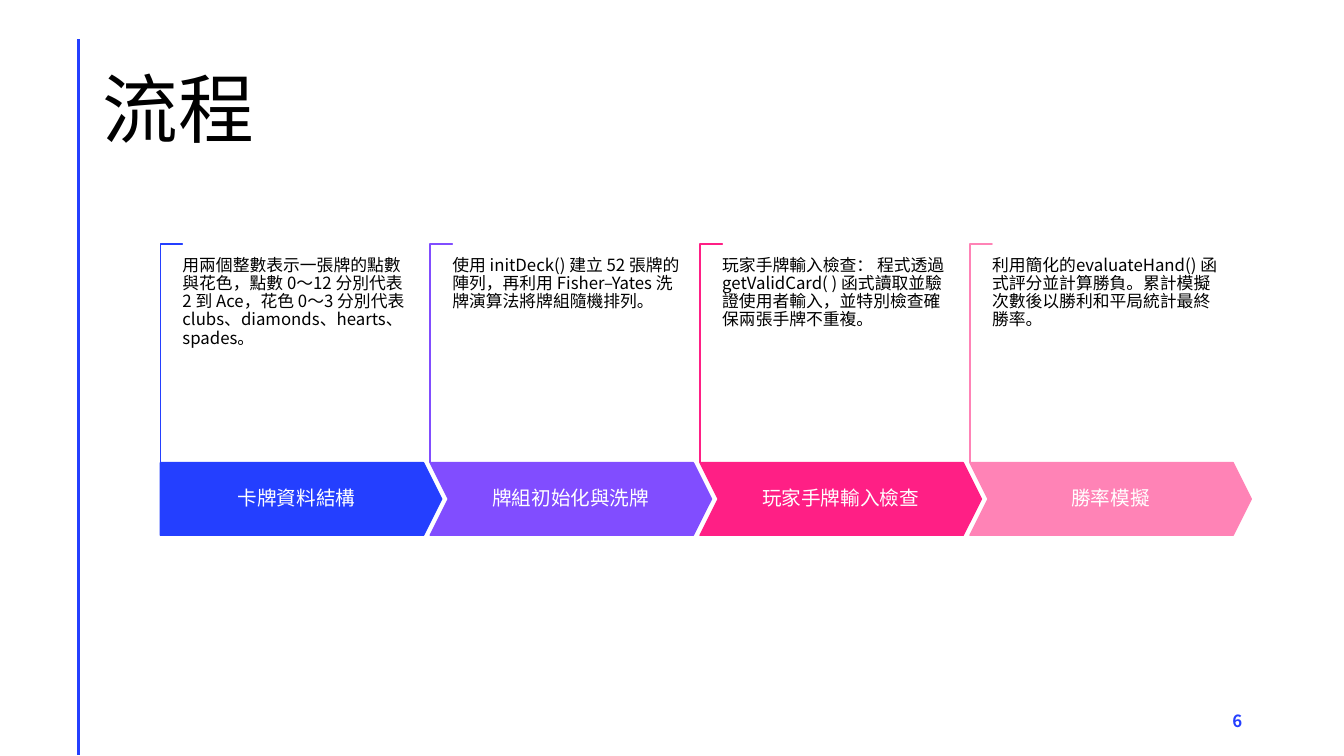
from dataclasses import dataclass

from lxml import etree
from pptx import Presentation
from pptx.dml.color import RGBColor
from pptx.enum.shapes import MSO_CONNECTOR, MSO_SHAPE
from pptx.enum.text import MSO_ANCHOR, PP_ALIGN
from pptx.oxml.ns import qn
from pptx.util import Inches, Pt

CORNER, PENTAGON, CHEVRON = MSO_SHAPE.CORNER, MSO_SHAPE.PENTAGON, MSO_SHAPE.CHEVRON
STRAIGHT = MSO_CONNECTOR.STRAIGHT
TOP, MIDDLE = MSO_ANCHOR.TOP, MSO_ANCHOR.MIDDLE
LEFT, CENTER, RIGHT = PP_ALIGN.LEFT, PP_ALIGN.CENTER, PP_ALIGN.RIGHT


@dataclass(frozen=True)
class Theme:
    font: str = "Noto Sans CJK TC"
    ink: str = "000000"
    paper: str = "FFFFFF"
    accent: str = "243FFF"
    steps: tuple = ("243FFF", "814DFF", "FF1F85", "FF83B6")
    title_size: int = 54
    label_size: int = 14
    body_size: int = 12


class PageBuilder:
    def __init__(self, page, theme):
        self.page = page
        self.theme = theme

    def fill_text(self, frame, text, size, color, align=LEFT, anchor=TOP,
                  inset=(0.1, 0.05), bold=False, spacing=0.9):
        """Fill a text frame; inset is (horizontal, vertical) in inches."""
        frame.word_wrap = True
        frame.vertical_anchor = anchor
        frame.margin_left = frame.margin_right = Inches(inset[0])
        frame.margin_top = frame.margin_bottom = Inches(inset[1])
        para = frame.paragraphs[0]
        para.text = text
        para.alignment = align
        para.line_spacing = spacing
        font = para.font
        font.size = Pt(size)
        font.bold = bold
        font.color.rgb = RGBColor.from_string(color)
        font.name = self.theme.font
        # East Asian glyphs take their typeface from a separate element
        defaults = para._p.pPr.find(qn("a:defRPr"))
        etree.SubElement(defaults, qn("a:ea"), typeface=self.theme.font)

    def text(self, place, text, size, color, **style):
        box = self.page.shapes.add_textbox(*map(Inches, place))
        self.fill_text(box.text_frame, text, size, color, **style)

    def shape(self, kind, place, fill, line, adjustments):
        shape = self.page.shapes.add_shape(kind, *map(Inches, place))
        shape.shadow.inherit = False
        shape.fill.solid()
        shape.fill.fore_color.rgb = RGBColor.from_string(fill)
        shape.line.color.rgb = RGBColor.from_string(line)
        shape.line.width = Pt(1)
        for index, value in enumerate(adjustments):
            shape.adjustments[index] = value
        return shape

    def line(self, start, end, color, width):
        line = self.page.shapes.add_connector(STRAIGHT, *map(Inches, start + end))
        line.line.color.rgb = RGBColor.from_string(color)
        line.line.width = Pt(width)
        etree.SubElement(line._element.spPr, qn("a:effectLst"))

    def bracket(self, left, top, width, height, color):
        """Draw a thin top-left bracket: a corner shape turned a quarter."""
        place = (left + (width - height) / 2, top + (height - width) / 2, height, width)
        self.shape(CORNER, place, self.theme.paper, color, (0.01, 0.01)).rotation = 90

    def step(self, kind, left, color, label, detail):
        theme = self.theme
        self.bracket(left, 2.42, 0.22, 2.17, color)
        arrow = self.shape(kind, (left, 4.59, 2.79, 0.72), color, color, (0.25,))
        self.fill_text(arrow.text_frame, label, theme.label_size, theme.paper,
                       align=CENTER, anchor=MIDDLE, inset=(0.1, 0.19))
        self.text((left + 0.22, 2.55, 2.26, 1.52), detail,
                  theme.body_size, theme.ink, inset=(0, 0))


STEPS = (
    ("卡牌資料結構",
     "用兩個整數表示一張牌的點數與花色，點數 0～12 分別代表 2 到 Ace，"
     "花色 0～3 分別代表 clubs、diamonds、hearts、spades。"),
    ("牌組初始化與洗牌",
     "使用 initDeck() 建立 52 張牌的陣列，再利用 Fisher–Yates 洗牌演算法將牌組隨機排列。"),
    ("玩家手牌輸入檢查",
     "玩家手牌輸入檢查： 程式透過 getValidCard( ) 函式讀取並驗證使用者輸入，"
     "並特別檢查確保兩張手牌不重複。"),
    ("勝率模擬",
     "利用簡化的evaluateHand() 函式評分並計算勝負。累計模擬次數後以勝利和平局統計最終勝率。"),
)
FIRST_LEFT, LAST_LEFT = 1.59, 9.62


def main():
    deck = Presentation()
    deck.slide_width, deck.slide_height = Inches(13.33), Inches(7.5)
    theme = Theme()
    builder = PageBuilder(deck.slides.add_slide(deck.slide_layouts[6]), theme)

    builder.line((0.78, 0.39), (0.78, 7.49), theme.accent, 2)
    builder.text((0.92, 0.4, 11.5, 1.45), "流程", theme.title_size, theme.ink, anchor=MIDDLE)
    builder.text((9.42, 6.95, 3, 0.4), "6", theme.body_size, theme.accent,
                 align=RIGHT, anchor=MIDDLE, bold=True, spacing=1.0)

    pitch = (LAST_LEFT - FIRST_LEFT) / (len(STEPS) - 1)
    for index, (color, (label, detail)) in enumerate(zip(theme.steps, STEPS)):
        kind = CHEVRON if index else PENTAGON
        builder.step(kind, FIRST_LEFT + index * pitch, color, label, detail)

    deck.save("out.pptx")


if __name__ == "__main__":
    main()
